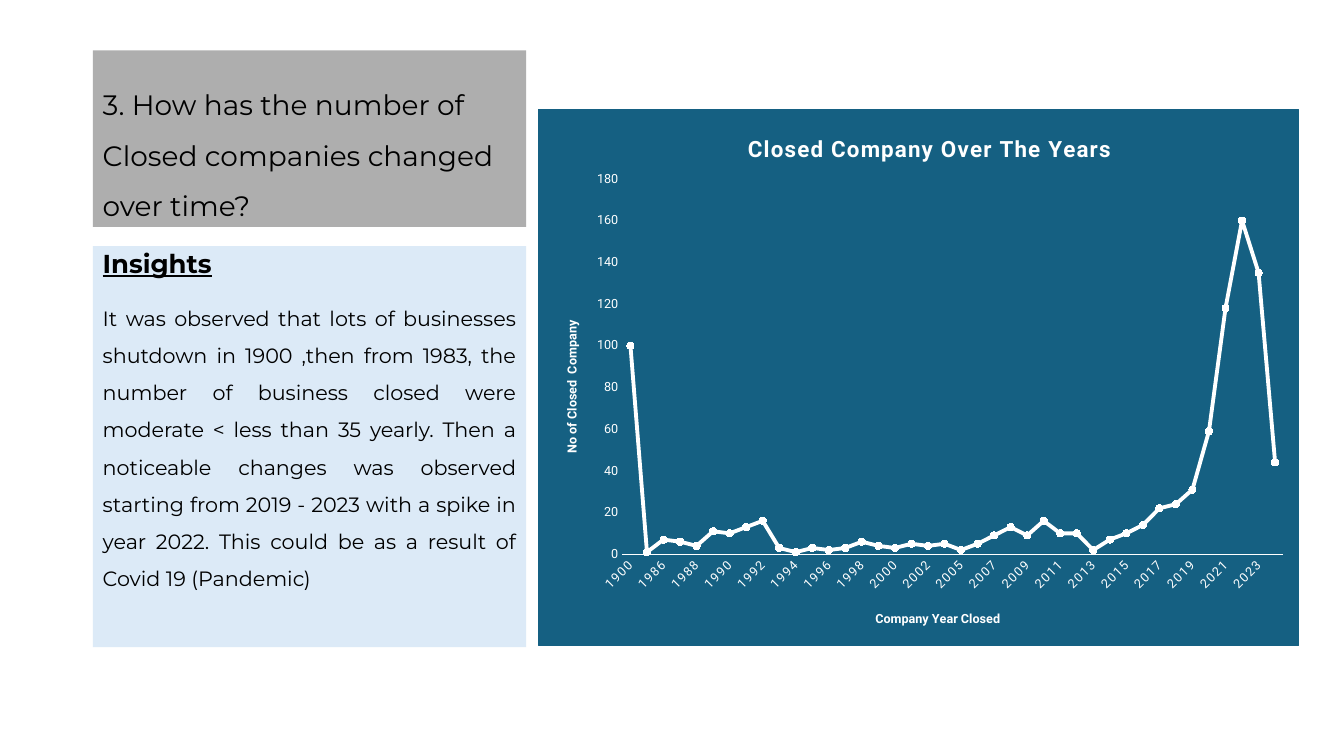
import pptx
import pptx.chart.data
import pptx.dml.color
import pptx.enum.chart
import pptx.enum.text
import pptx.oxml
import pptx.oxml.ns
import pptx.util
from pptx.util import Cm

COLORS = {"question": "AEAEAE", "insights": "DCEAF7", "chart": "156082",
          "text": "000000", "line": "FFFFFF"}
PANEL_LEFT, PANEL_WIDTH = 2.34, 10.92

YEARS = [1900, 1983, *range(1986, 2003), *range(2004, 2025)]
CLOSED = [100, 1, 7, 6, 4, 11, 10, 13, 16, 3, 1, 3, 2, 3, 6, 4, 3, 5, 4, 5,
          2, 5, 9, 13, 9, 16, 10, 10, 2, 7, 10, 14, 22, 24, 31, 59, 118, 160,
          135, 44]

QUESTION = "3. How has the number of Closed companies changed over time?"
INSIGHT = (
    "It was observed that lots of businesses shutdown in 1900 ,then from 1983, "
    "the number of business closed were moderate < less than 35 yearly. Then a "
    "noticeable changes was observed starting from 2019 - 2023 with a spike in "
    "year 2022. This could be as a result of Covid 19 (Pandemic)")


def rgb(name):
    return pptx.dml.color.RGBColor.from_string(COLORS[name])


def style_font(font, size, color, family, bold=False):
    font.size = pptx.util.Pt(size)
    font.color.rgb = rgb(color)
    font.name = family
    font.bold = bold


def add_panel(slide, top, height, fill):
    """Add a filled text panel in the left column and return its text frame."""
    panel = slide.shapes.add_textbox(Cm(PANEL_LEFT), Cm(top), Cm(PANEL_WIDTH), Cm(height))
    panel.fill.solid()
    panel.fill.fore_color.rgb = rgb(fill)
    panel.text_frame.word_wrap = True
    return panel.text_frame


def write(paragraph, text, size, spacing, before=0, bold=False):
    paragraph.text = text
    paragraph.line_spacing = spacing
    paragraph.space_before = pptx.util.Pt(before)
    style_font(paragraph.runs[0].font, size, "text", "Montserrat", bold)


def place(element, index, **fractions):
    """Give a chart element a manual layout in fractions of the chart area."""
    for layout in element.findall(pptx.oxml.ns.qn("c:layout")):
        element.remove(layout)
    target = '<c:layoutTarget val="inner"/>' if "w" in fractions else ""
    modes = "".join(f'<c:{key}Mode val="edge"/>' for key in ("x", "y"))
    values = "".join(f'<c:{key} val="{value}"/>' for key, value in fractions.items())
    element.insert(index, pptx.oxml.parse_xml(
        f'<c:layout {pptx.oxml.ns.nsdecls("c")}><c:manualLayout>'
        f'{target}{modes}{values}</c:manualLayout></c:layout>'))


def set_title(title, text, size, x, y, tracking=0):
    frame = title.text_frame
    frame.text = text
    run = frame.paragraphs[0].runs[0]
    style_font(run.font, size, "line", "Roboto", True)
    run.font._element.set("spc", str(tracking))
    place(title._element, 1, x=x, y=y)


def style_axis(axis, title, x, y):
    axis.has_major_gridlines = False
    axis.major_tick_mark = axis.minor_tick_mark = pptx.enum.chart.XL_TICK_MARK.NONE
    style_font(axis.tick_labels.font, 9, "line", "Roboto")
    set_title(axis.axis_title, title, 9, x, y)


def style_years(axis):
    """Slant the year labels and show every second one."""
    axis.format.line.color.rgb = rgb("line")
    axis.format.line.width = pptx.util.Pt(1)
    labels = axis._element.find(pptx.oxml.ns.qn("c:txPr"))
    labels.find(pptx.oxml.ns.qn("a:bodyPr")).set("rot", "-2700000")
    axis.tick_labels.font._element.set("spc", "100")
    skip = pptx.oxml.parse_xml(
        f'<c:tickLblSkip {pptx.oxml.ns.nsdecls("c")} val="2"/>')
    axis._element.find(pptx.oxml.ns.qn("c:noMultiLvlLbl")).addprevious(skip)


def fill_chart_area(chart):
    color = f'<a:solidFill><a:srgbClr val="{COLORS["chart"]}"/></a:solidFill>'
    area = pptx.oxml.parse_xml(
        f'<c:spPr {pptx.oxml.ns.nsdecls("c", "a")}>{color}'
        f'<a:ln w="9525">{color}</a:ln></c:spPr>')
    chart._chartSpace.chart.addnext(area)


def style_series(series):
    series.smooth = False
    series.format.line.color.rgb = rgb("line")
    series.format.line.width = pptx.util.Pt(2.75)
    series.marker.style = pptx.enum.chart.XL_MARKER_STYLE.CIRCLE
    series.marker.size = 5
    series.marker.format.fill.solid()
    series.marker.format.fill.fore_color.rgb = rgb("line")
    series.marker.format.line.color.rgb = rgb("line")


def add_closures_chart(slide):
    closures = pptx.chart.data.CategoryChartData()
    closures.categories = [str(year) for year in YEARS]
    closures.add_series("Series 1", CLOSED)
    chart = slide.shapes.add_chart(
        pptx.enum.chart.XL_CHART_TYPE.LINE_MARKERS,
        Cm(13.56), Cm(2.74), Cm(19.18), Cm(13.54), closures).chart
    style_font(chart.font, 10, "text", "Roboto")
    chart.has_legend = False
    fill_chart_area(chart)
    set_title(chart.chart_title, "Closed Company Over The Years", 16, 0.27, 0.04, 100)

    style_axis(chart.category_axis, "Company Year Closed", 0.44, 0.93)
    style_years(chart.category_axis)
    style_axis(chart.value_axis, "No of Closed  Company", 0.03, 0.39)
    chart.value_axis.format.line.fill.background()
    chart.value_axis.minimum_scale = 0
    chart.value_axis.maximum_scale = 180
    chart.value_axis.major_unit = 20

    chart.plots[0].vary_by_categories = False
    style_series(chart.plots[0].series[0])
    place(chart._chartSpace.chart.plotArea, 0, x=0.11, y=0.13, w=0.87, h=0.7)


def main():
    deck = pptx.Presentation()
    deck.slide_width, deck.slide_height = Cm(33.87), Cm(19.05)
    slide = deck.slides.add_slide(deck.slide_layouts[6])

    question = add_panel(slide, 1.27, 4.45, "question")
    question.vertical_anchor = pptx.enum.text.MSO_ANCHOR.BOTTOM
    write(question.paragraphs[0], QUESTION, 20, 1.5)

    add_closures_chart(slide)

    insights = add_panel(slide, 6.2, 10.11, "insights")
    heading = insights.paragraphs[0]
    write(heading, "Insights", 18.5, 0.9, before=10, bold=True)
    heading.runs[0].font.underline = True
    finding = insights.add_paragraph()
    write(finding, INSIGHT, 14.8, 1.5, before=10)
    finding.alignment = pptx.enum.text.PP_ALIGN.JUSTIFY

    deck.save("out.pptx")


if __name__ == "__main__":
    main()
